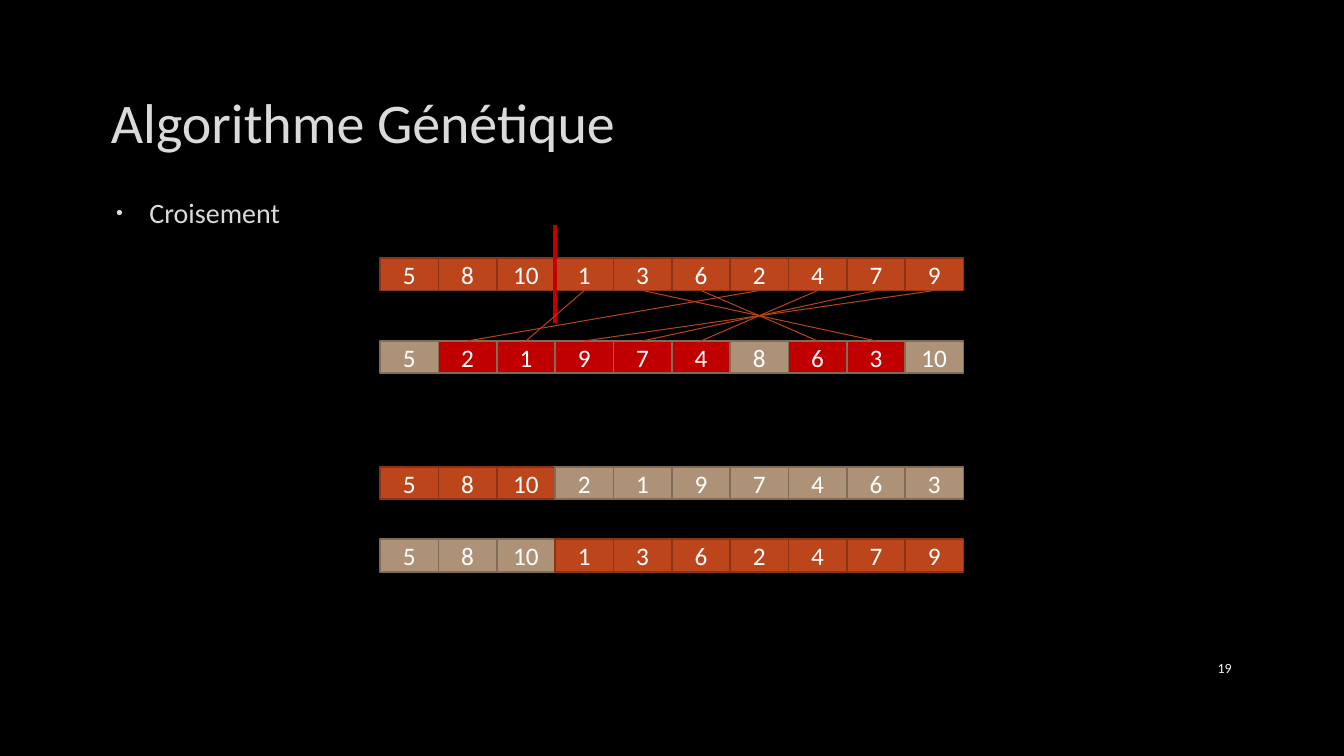
from dataclasses import dataclass

from lxml import etree
from pptx import Presentation
from pptx import util as u
from pptx.dml.color import RGBColor
from pptx.enum import shapes, text
from pptx.oxml.ns import qn

FONT = "Calibri"
COLORS = {
    "background": "000000", "text": "DADADA", "number": "F2F2F2", "gene": "FFFFFF",
    "orange": "BC451B", "orange_edge": "8B3314",
    "beige": "AD9277", "beige_edge": "806C58",
    "red": "C00000", "link": "B4421A",
}

# Gene grid, in centimetres
LEFT, CELL_W, CELL_H = 9.58, 1.47, 0.82
PARENT_A_Y, PARENT_B_Y, CHILD_A_Y, CHILD_B_Y = 6.5, 8.59, 11.76, 13.59

PARENT_A = [5, 8, 10, 1, 3, 6, 2, 4, 7, 9]
PARENT_B = [5, 2, 1, 9, 7, 4, 8, 6, 3, 10]
CUT = 3
HEAD, TAIL = PARENT_A[:CUT], PARENT_A[CUT:]


@dataclass
class Style:
    fill: str
    edge: str


ORANGE = Style("orange", "orange_edge")
BEIGE = Style("beige", "beige_edge")
RED = Style("red", "beige_edge")


@dataclass
class GeneRow:
    y: float
    genes: list[int]
    styles: list[Style]


@dataclass
class Line:
    x1: float
    y1: float
    x2: float
    y2: float
    color: str
    width: float


def rgb(name: str) -> RGBColor:
    return RGBColor.from_string(COLORS[name])


def set_font(p, size: float, color: str) -> None:
    p.font.name, p.font.size = FONT, u.Pt(size)
    p.font.color.rgb = rgb(color)


def place(sp, x: float, y: float, w: float, h: float) -> None:
    sp.left, sp.top, sp.width, sp.height = map(u.Cm, (x, y, w, h))


def fill_text(sp, content: str, size: float, color: str, align, anchor):
    tf = sp.text_frame
    tf.word_wrap = True
    tf.auto_size = text.MSO_AUTO_SIZE.NONE
    tf.vertical_anchor = anchor
    p = tf.paragraphs[0]
    p.text, p.alignment = content, align
    p.space_before = u.Pt(0)
    set_font(p, size, color)
    return p


def add_bullet(p) -> None:
    pPr = p._p.get_or_add_pPr()
    pPr.set("marL", str(u.Cm(0.97)))
    pPr.set("indent", str(-u.Cm(0.84)))
    color = etree.Element(qn("a:buClr"))
    etree.SubElement(color, qn("a:srgbClr"), val=COLORS["text"])
    bullet = [color, etree.Element(qn("a:buSzPct"), val="70000"),
              etree.Element(qn("a:buChar"), char="•")]
    defaults = pPr.find(qn("a:defRPr"))
    for element in bullet:
        defaults.addprevious(element)


def add_row(s, row: GeneRow) -> None:
    for i, (gene, style) in enumerate(zip(row.genes, row.styles)):
        sp = s.shapes.add_shape(
            shapes.MSO_SHAPE.RECTANGLE, u.Cm(LEFT + i * CELL_W), u.Cm(row.y),
            u.Cm(CELL_W), u.Cm(CELL_H))
        sp.shadow.inherit = False
        sp.fill.solid()
        sp.fill.fore_color.rgb = rgb(style.fill)
        sp.line.color.rgb = rgb(style.edge)
        sp.line.width = u.Pt(1.25)
        fill_text(sp, str(gene), 18, "gene", text.PP_ALIGN.CENTER, text.MSO_ANCHOR.MIDDLE)


def add_line(s, line: Line) -> None:
    c = s.shapes.add_connector(
        shapes.MSO_CONNECTOR.STRAIGHT,
        u.Cm(line.x1), u.Cm(line.y1), u.Cm(line.x2), u.Cm(line.y2))
    c.line.color.rgb = rgb(line.color)
    c.line.width = u.Pt(line.width)
    etree.SubElement(c._element.spPr, qn("a:effectLst"))


def center(genes: list[int], gene: int) -> float:
    return LEFT + (genes.index(gene) + 0.5) * CELL_W


def main() -> None:
    prs = Presentation()
    prs.slide_width, prs.slide_height = u.Cm(33.87), u.Cm(19.05)
    s = prs.slides.add_slide(prs.slide_layouts[1])
    s.background.fill.solid()
    s.background.fill.fore_color.rgb = rgb("background")

    # Title, list and slide number
    title, body = s.shapes.title, s.placeholders[1]
    place(title, 2.54, 1.7, 28.75, 2.69)
    fill_text(title, "Algorithme Génétique", 40, "text",
              text.PP_ALIGN.LEFT, text.MSO_ANCHOR.MIDDLE)
    place(body, 2.54, 4.8, 28.75, 1.27)
    p = fill_text(body, "Croisement", 20, "text", text.PP_ALIGN.LEFT, text.MSO_ANCHOR.TOP)
    p.space_after = u.Pt(6)
    add_bullet(p)
    number = s.shapes.add_textbox(u.Cm(29.21), u.Cm(16.33), u.Cm(2.08), u.Cm(1.02))
    fill_text(number, "19", 10, "number", text.PP_ALIGN.RIGHT, text.MSO_ANCHOR.MIDDLE)

    # Parents, then children made of one parent's head and the other's tail
    tail_in_b = [g for g in PARENT_B if g in TAIL]
    head_in_b = [g for g in PARENT_B if g in HEAD]
    rows = [
        GeneRow(PARENT_A_Y, PARENT_A, [ORANGE] * len(PARENT_A)),
        GeneRow(PARENT_B_Y, PARENT_B, [RED if g in TAIL else BEIGE for g in PARENT_B]),
        GeneRow(CHILD_A_Y, HEAD + tail_in_b, [ORANGE] * CUT + [BEIGE] * len(TAIL)),
        GeneRow(CHILD_B_Y, head_in_b + TAIL, [BEIGE] * CUT + [ORANGE] * len(TAIL)),
    ]
    for row in rows:
        add_row(s, row)

    # Cut mark and links between equal genes
    cut_x = LEFT + CUT * CELL_W
    lines = [Line(cut_x, 5.66, cut_x, 8.15, "red", 3)]
    lines += [Line(center(PARENT_A, g), PARENT_A_Y + CELL_H,
                   center(PARENT_B, g), PARENT_B_Y, "link", 0.75) for g in TAIL]
    for line in lines:
        add_line(s, line)

    prs.save("out.pptx")


if __name__ == "__main__":
    main()
